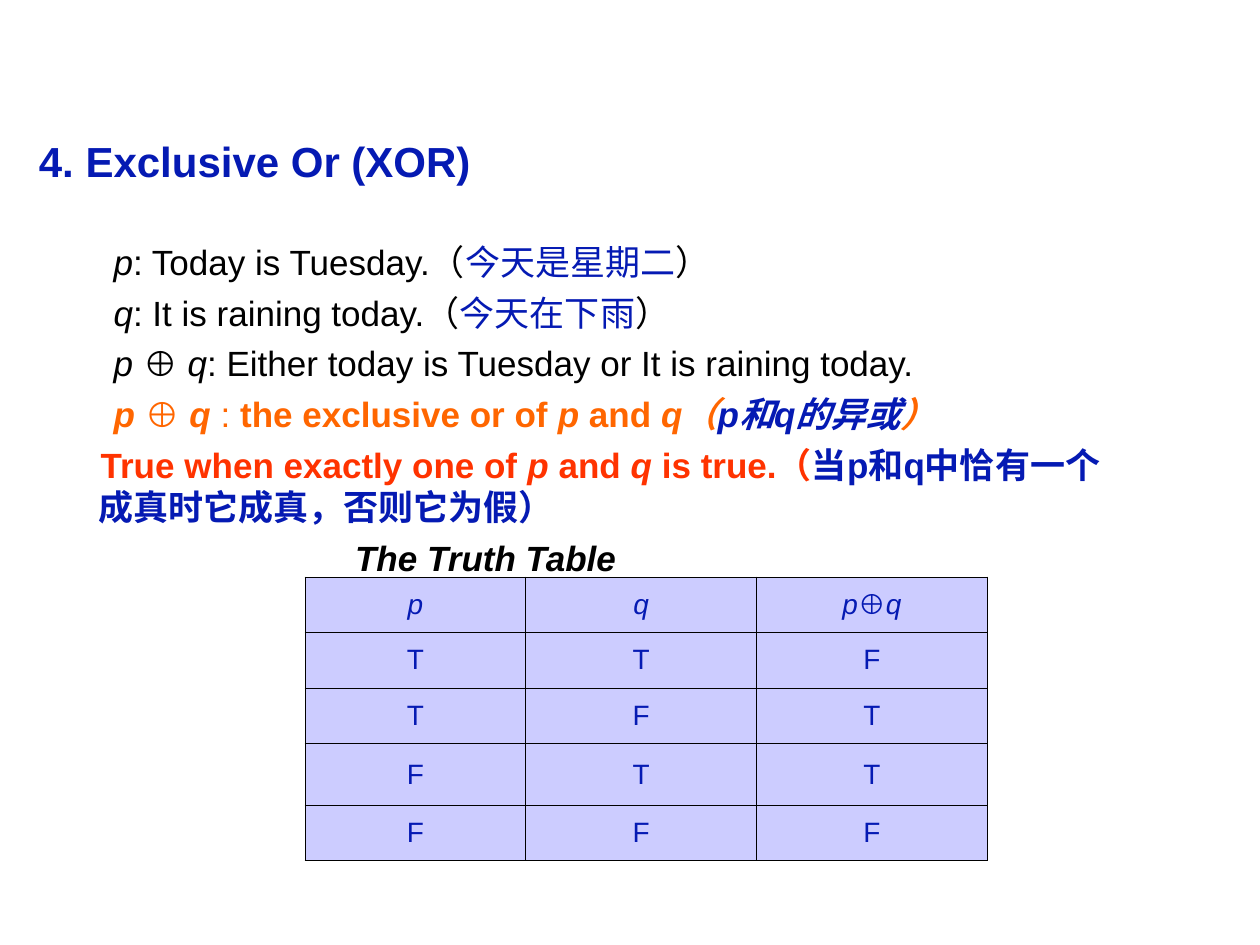
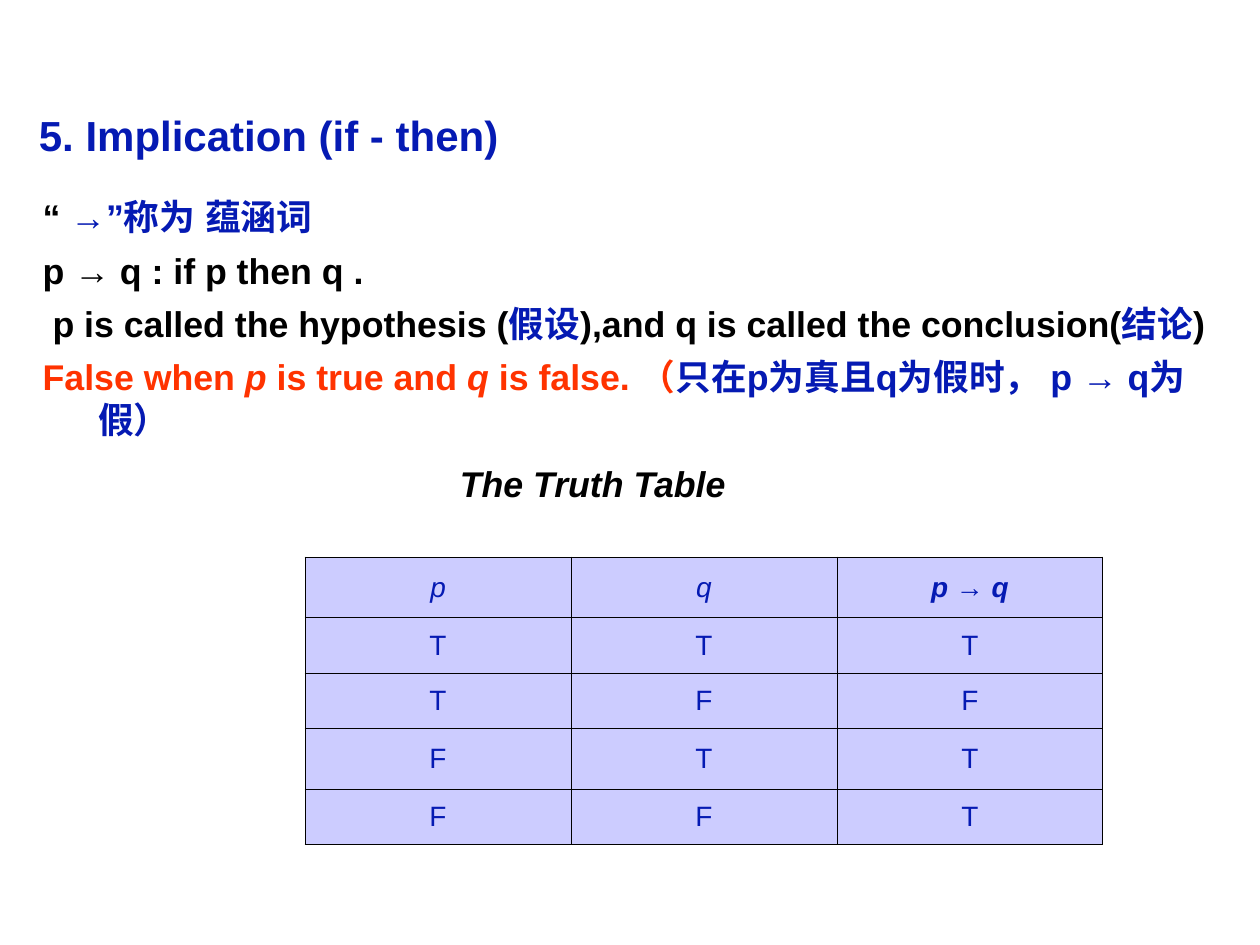
from lxml.etree import SubElement
from pptx import Presentation
from pptx.dml.color import RGBColor
from pptx.enum.text import MSO_ANCHOR as Anchor, MSO_AUTO_SIZE as AutoSize, PP_ALIGN as Align
from pptx.oxml import parse_xml
from pptx.oxml.ns import nsdecls, qn
from pptx.util import Cm, Pt

COLORS = {
    "black": "000000",
    "blue": "051AB3",
    "orange": "FF6600",
    "red": "FF3300",
    "cell": "CCCCFF",
}
FONT = "Arial"
BORDER = Pt(0.45)
TITLE_ONLY = 5

# Left margin and first-line indent in centimetres
STATEMENT = (1.3, 0.13)
HANGING = (1.12, -1.12)


class Deck:
    def __init__(self):
        self.presentation = Presentation()
        self.presentation.slide_width = Cm(25.4)
        self.presentation.slide_height = Cm(19.05)
        self.slide = None

    def add_slide(self, title, bottom_margin=0.13):
        layout = self.presentation.slide_layouts[TITLE_ONLY]
        self.slide = self.presentation.slides.add_slide(layout)
        shape = self.slide.shapes.title
        shape.left, shape.top, shape.width, shape.height = Cm(0.53), Cm(2.21), Cm(24.31), Cm(2.18)
        frame = shape.text_frame
        frame.auto_size = AutoSize.NONE
        frame.vertical_anchor = Anchor.MIDDLE
        frame.margin_bottom = Cm(bottom_margin)
        paragraph = frame.paragraphs[0]
        paragraph.alignment = Align.LEFT
        paragraph.line_spacing = 0.9
        self.add_runs(paragraph, [(title, "blue bold")], 24)

    def add_runs(self, paragraph, pieces, size):
        """Add (text, style) pieces; a style is a colour name plus bold or italic."""
        for text, style in pieces:
            color, *traits = style.split()
            run = paragraph.add_run()
            run.text = text
            font = run.font
            font.name = FONT
            font.size = Pt(size)
            font.bold = "bold" in traits
            font.italic = "italic" in traits
            font.color.rgb = RGBColor.from_string(COLORS[color])
            SubElement(run._r.get_or_add_rPr(), qn("a:ea"), typeface=FONT)

    def add_body(self, top, width, height, size, space_after, lines):
        """Add a text box of (left margin, indent, pieces) lines."""
        box = self.slide.shapes.add_textbox(Cm(0.61), Cm(top), Cm(width), Cm(height))
        frame = box.text_frame
        frame.word_wrap = True
        for index, ((margin, indent), pieces) in enumerate(lines):
            paragraph = frame.add_paragraph() if index else frame.paragraphs[0]
            paragraph.space_after = Pt(space_after)
            properties = paragraph._p.get_or_add_pPr()
            properties.set("marL", str(Cm(margin)))
            properties.set("indent", str(Cm(indent)))
            self.add_runs(paragraph, pieces, size)
        return frame

    def add_truth_table(self, top, widths, heights, result_header, results):
        header = [[("p", "blue italic")], [("q", "blue italic")], result_header]
        values = [(p, q, result) for (p, q), result in zip(("TT", "TF", "FT", "FF"), results)]
        rows = [header] + [[[(value, "blue")] for value in row] for row in values]
        table = self.slide.shapes.add_table(
            len(rows), len(header), Cm(6.15), Cm(top), Cm(sum(widths)), Cm(sum(heights))
        ).table
        table.first_row = table.horz_banding = False
        for column, width in zip(table.columns, widths):
            column.width = Cm(width)
        for row, height, contents in zip(table.rows, heights, rows):
            row.height = Cm(height)
            for cell, pieces in zip(row.cells, contents):
                self.format_cell(cell)
                paragraph = cell.text_frame.paragraphs[0]
                paragraph.alignment = Align.CENTER
                paragraph.space_after = Pt(4)
                self.add_runs(paragraph, pieces, 16)

    def format_cell(self, cell):
        cell.vertical_anchor = Anchor.MIDDLE
        cell.fill.solid()
        cell.fill.fore_color.rgb = RGBColor.from_string(COLORS["cell"])
        for position, side in enumerate(("lnL", "lnR", "lnT", "lnB")):
            line = parse_xml(
                f'<a:{side} {nsdecls("a")} w="{BORDER}"><a:solidFill>'
                f'<a:srgbClr val="{COLORS["black"]}"/></a:solidFill></a:{side}>'
            )
            cell._tc.get_or_add_tcPr().insert(position, line)


def add_exclusive_or(deck):
    deck.add_slide("4. Exclusive Or (XOR)")
    deck.add_body(4.72, 22.25, 7.14, 20, 5, [
        (STATEMENT, [("p", "black italic"), (": Today is Tuesday.（", "black"),
                     ("今天是星期二", "blue"), ("）", "black")]),
        (STATEMENT, [("q", "black italic"), (": It is raining today.（", "black"),
                     ("今天在下雨", "blue"), ("）", "black")]),
        (STATEMENT, [("p ", "black italic"), ("⊕ ", "black bold"), ("q", "black italic"),
                     (": Either today is Tuesday or It is raining today.", "black")]),
        (STATEMENT, [("p ", "orange bold italic"), ("⊕ ", "orange bold"),
                     ("q ", "orange bold italic"), (": ", "orange"),
                     ("the exclusive or of ", "orange bold"), ("p", "orange bold italic"),
                     (" and ", "orange bold"), ("q（", "orange bold italic"),
                     ("p和q的异或", "blue bold italic"), ("）", "orange bold italic")]),
        ((1.12, 0.05), [("True when exactly one of ", "red bold"), ("p", "red bold italic"),
                        (" and ", "red bold"), ("q", "red bold italic"),
                        (" is true.（", "red bold"),
                        ("当p和q中恰有一个成真时它成真，否则它为假）", "blue bold")]),
        ((6.3, 0), [("The Truth Table", "black bold italic")]),
    ])
    deck.add_truth_table(
        11.63, [4.45, 4.65, 4.65], [1.12, 1.12, 1.12, 1.24, 1.12],
        [("p", "blue italic"), ("⊕", "blue bold"), ("q", "blue italic")], "FTTF")


def add_implication(deck):
    deck.add_slide("5. Implication (if - then)", bottom_margin=1.18)
    body = deck.add_body(3.81, 24.36, 7.19, 20.4, 6, [
        (HANGING, [("“ ", "black bold"), ("→”称为 蕴涵词", "blue bold")]),
        (HANGING, [("p → q : if p then q .", "black bold")]),
        ((1.12, -0.92), [("p is called the hypothesis (", "black bold"), ("假设", "blue bold"),
                         ("),and q is called the conclusion(", "black bold"),
                         ("结论", "blue bold"), (")", "black bold")]),
        (HANGING, [("False when ", "red bold"), ("p ", "red bold italic"),
                   ("is true and ", "red bold"), ("q ", "red bold italic"),
                   ("is false. （", "red bold"),
                   ("只在p为真且q为假时， p → q为假）", "blue bold")]),
        ((8.41, 0), [("The Truth Table", "black bold italic")]),
    ])
    body.paragraphs[-1].space_before = Pt(6)
    deck.add_truth_table(
        11.23, [5.36] * 3, [1.22, 1.12, 1.12, 1.22, 1.12],
        [("p ", "blue bold italic"), ("→ ", "blue bold"), ("q", "blue bold italic")], "TFTT")


def main():
    deck = Deck()
    add_exclusive_or(deck)
    add_implication(deck)
    deck.presentation.save("out.pptx")


if __name__ == "__main__":
    main()
